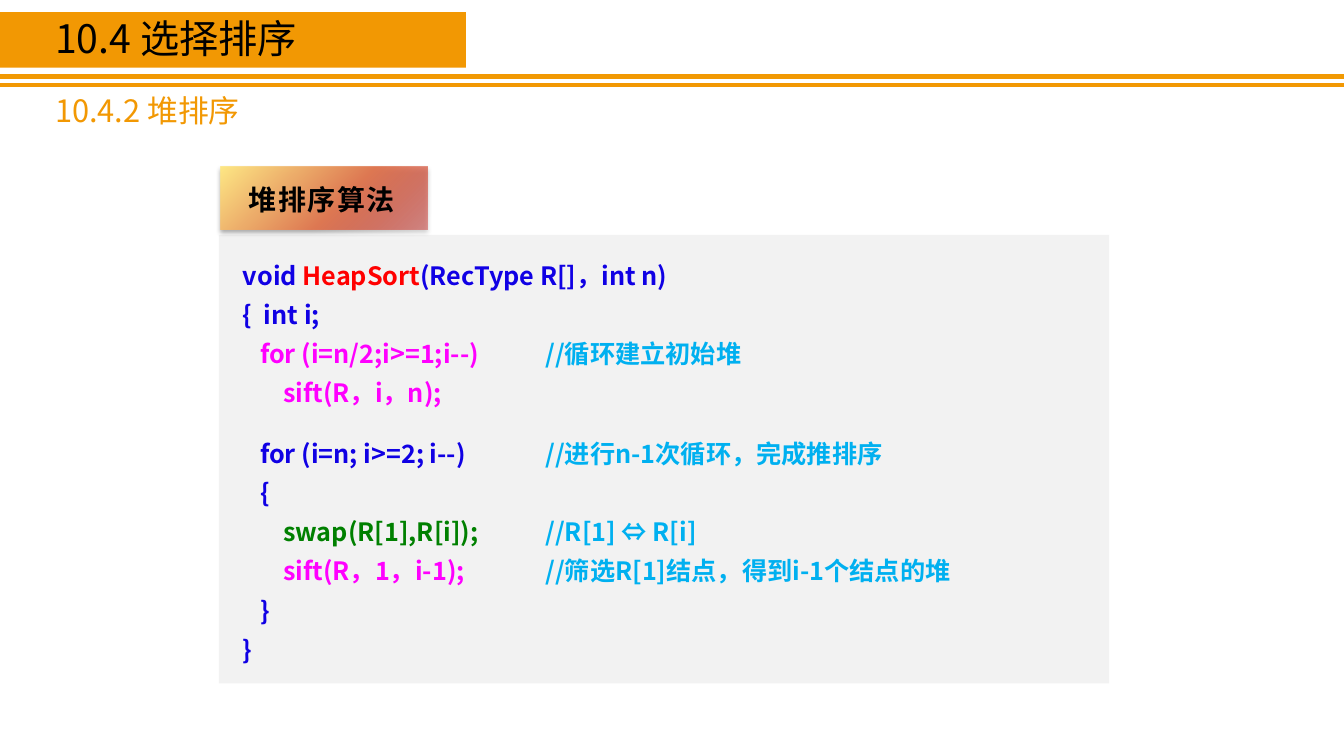
from lxml import etree
from pptx import Presentation
from pptx.dml.color import RGBColor
from pptx.enum import shapes, text
from pptx.oxml import parse_xml
from pptx.oxml.ns import nsdecls, qn
from pptx.util import Inches, Pt

FONT = "Noto Sans CJK SC"
ORANGE = RGBColor(0xF2, 0x98, 0x03)
RULE_ORANGE = RGBColor(0xF1, 0x99, 0x03)
PANEL = RGBColor(0xF2, 0xF2, 0xF2)
BLACK = RGBColor(0, 0, 0)
BLUE = RGBColor(0x10, 0x00, 0xE4)
RED = RGBColor(0xFF, 0, 0)
PINK = RGBColor(0xFF, 0, 0xFF)
GREEN = RGBColor(0, 0x80, 0)
CYAN = RGBColor(0, 0xB0, 0xF0)

CODE = [
    [("void ", BLUE), ("HeapSort", RED), ("(RecType R[]，int n)", BLUE)],
    [("{  int i;", BLUE)],
    [("   for (i=n/2;i>=1;i--)\t", PINK), ("//循环建立初始堆", CYAN)],
    [("       sift(R，i，n);", PINK)],
    [("   for (i=n; i>=2; i--)\t", BLUE), ("//进行n-1次循环，完成推排序", CYAN)],
    [("   {", BLUE)],
    [("       swap(R[1],R[i]);\t", GREEN), ("//R[1] ⇔ R[i]", CYAN)],
    [("       sift(R，1，i-1);\t", PINK), ("//筛选R[1]结点，得到i-1个结点的堆", CYAN)],
    [("   }", BLUE)],
    [("}", BLUE)],
]
SECOND_LOOP = 4
COMMENT_TAB = 3.0

GRADIENT = f"""<a:gradFill {nsdecls("a")} rotWithShape="1"><a:gsLst>
<a:gs pos="0"><a:srgbClr val="CE3B37"><a:alpha val="50000"/></a:srgbClr></a:gs>
<a:gs pos="43000"><a:srgbClr val="DF7953"/></a:gs>
<a:gs pos="100000"><a:srgbClr val="FFE985"/></a:gs>
</a:gsLst><a:lin ang="13500000" scaled="0"/></a:gradFill>"""
SHADOW = f"""<a:outerShdw {nsdecls("a")} blurRad="{Pt(3.5)}" dist="{Pt(2.2)}"
dir="5400000" rotWithShape="0"><a:srgbClr val="000000"><a:alpha val="32000"/></a:srgbClr></a:outerShdw>"""


def add_run(p, content, size, color, bold=False):
    r = p.add_run()
    r.text = content
    r.font.size = Pt(size)
    r.font.name = FONT
    r.font.bold = bold
    r.font.color.rgb = color
    ea = etree.SubElement(r.font._element, qn("a:ea"))
    ea.set("typeface", FONT)
    return r


def add_tab(p, position):
    tabs = etree.SubElement(p._p.get_or_add_pPr(), qn("a:tabLst"))
    tab = etree.SubElement(tabs, qn("a:tab"))
    tab.set("pos", str(Inches(position)))
    tab.set("algn", "l")


def add_rect(parent, x, y, w, h, fill=None):
    sp = parent.add_shape(shapes.MSO_SHAPE.RECTANGLE, Inches(x), Inches(y), Inches(w), Inches(h))
    sp.shadow.inherit = False
    sp.line.fill.background()
    if fill is None:
        sp.fill.background()
    else:
        sp.fill.solid()
        sp.fill.fore_color.rgb = fill
    return sp


def add_heading(parent, x, y, w, h, content, size, color, bold=False):
    tf = parent.add_textbox(Inches(x), Inches(y), Inches(w), Inches(h)).text_frame
    tf.word_wrap = True
    p = tf.paragraphs[0]
    p.line_spacing = 0.8
    return add_run(p, content, size, color, bold)


def add_header(s, x, y, w):
    for dy, color in ((0.64, RULE_ORANGE), (0.72, ORANGE)):
        rule = s.shapes.add_connector(shapes.MSO_CONNECTOR.STRAIGHT, Inches(x), Inches(y + dy),
                                      Inches(x + w), Inches(y + dy))
        rule.line.color.rgb = color
        rule.line.width = Pt(3)
        etree.SubElement(rule._element.spPr, qn("a:effectLst"))
    add_rect(s.shapes, x, y, 4.62, 0.55, ORANGE)
    add_heading(s.shapes, x + 0.45, y + 0.06, 3.8, 0.48, "10.4 选择排序", 28, BLACK)
    add_heading(s.shapes, x + 0.45, y + 0.81, 2.44, 0.4, "10.4.2 堆排序", 22, ORANGE)


def add_code_panel(s, x, y, w, h):
    tf = add_rect(s.shapes, x, y, w, h, PANEL).text_frame
    tf.word_wrap = True
    tf.vertical_anchor = text.MSO_ANCHOR.TOP
    tf.margin_left = Inches(0.24)
    tf.margin_right = Inches(0.1)
    tf.margin_top = tf.margin_bottom = Inches(0.16)
    for i, line in enumerate(CODE):
        p = tf.add_paragraph() if i else tf.paragraphs[0]
        p.alignment = text.PP_ALIGN.JUSTIFY
        p.line_spacing = 2.0 if i == SECOND_LOOP else Pt(28)
        add_tab(p, COMMENT_TAB)
        for content, color in line:
            add_run(p, content, 18, color, True)


def add_label(s, x, y, w, h):
    group = s.shapes.add_group_shape().shapes
    spPr = add_rect(group, x, y, w, h)._element.spPr
    spPr.replace(spPr.find(qn("a:noFill")), parse_xml(GRADIENT))
    spPr.find(qn("a:effectLst")).append(parse_xml(SHADOW))
    r = add_heading(group, x + 0.18, y + 0.18, 1.76, 0.37, "堆排序算法", 20, BLACK, True)
    r.font._element.set("spc", "100")


def main():
    prs = Presentation()
    prs.slide_width = Inches(13.33)
    prs.slide_height = Inches(7.5)
    s = prs.slides.add_slide(prs.slide_layouts[6])
    add_header(s, 0, 0.12, 13.33)
    add_code_panel(s, 2.17, 2.33, 8.83, 4.45)
    add_label(s, 2.19, 1.65, 2.05, 0.63)
    prs.save("out.pptx")


if __name__ == "__main__":
    main()
